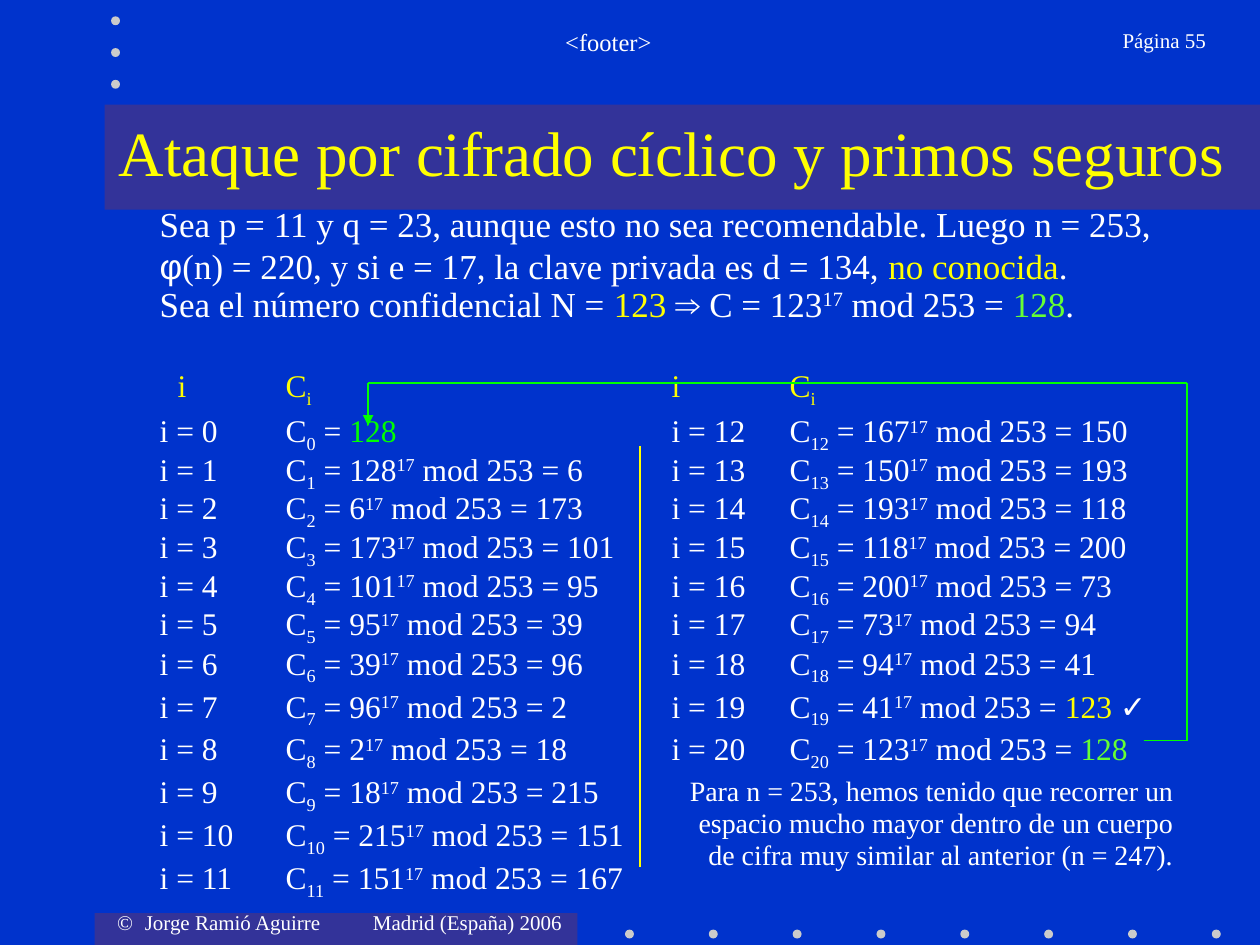
from lxml.etree import SubElement
from pptx import Presentation
from pptx.dml.color import RGBColor
from pptx.enum.shapes import MSO_CONNECTOR, MSO_SHAPE
from pptx.enum.text import MSO_ANCHOR, MSO_AUTO_SIZE, PP_ALIGN
from pptx.oxml.ns import qn
from pptx.util import Cm, Pt

THEME = {
    "font": "Times New Roman", "symbol_font": "Arial",
    "back": "0033CC", "band": "333399", "dot": "CBCBCB",
    "text": "FFFFFF", "accent": "FFFF00", "result": "66FF33", "cycle": "00FF00",
    "title": 36, "body": 20, "step": 18, "note": 16, "footer": 14, "small": 12,
}
BASELINES = {"sub": "-25000", "sup": "30000"}


def rgb(name):
    return RGBColor.from_string(THEME[name])


def write(p, runs, size, tabs=(), **formats):
    """Fill a paragraph with (text, style) runs; a style is a colour, sub, sup or symbol."""
    for name, value in formats.items():
        setattr(p, name, value)
    if tabs:
        tab_list = SubElement(p._p.get_or_add_pPr(), qn("a:tabLst"))
        for pos in tabs:
            SubElement(tab_list, qn("a:tab"), pos=str(Cm(pos)), algn="l")
    for text, style in runs:
        r = p.add_run()
        r.text = text
        color = style.split()[0] if style.split()[0] in THEME else "text"
        font = "symbol_font" if style == "symbol" else "font"
        for name, value in {"name": THEME[font], "size": Pt(THEME[size])}.items():
            setattr(r.font, name, value)
        r.font.color.rgb = rgb(color)
        mark = style.split()[-1]
        if mark in BASELINES:
            r._r.get_or_add_rPr().set("baseline", BASELINES[mark])


prs = Presentation()
prs.slide_width, prs.slide_height = Cm(25.4), Cm(19.05)
s = prs.slides.add_slide(prs.slide_layouts[5])
s.background.fill.solid()
s.background.fill.fore_color.rgb = rgb("back")

# Bands and rows of dots
DOT = 0.18
decor = [(MSO_SHAPE.RECTANGLE, "band", 1.91, 18.41, 9.73, 0.64),
         (MSO_SHAPE.RECTANGLE, "band", 2.11, 2.11, 23.29, 2.12)]
decor += [(MSO_SHAPE.OVAL, "dot", 12.6 + 1.69 * i, 18.74, DOT, DOT) for i in range(8)]
decor += [(MSO_SHAPE.OVAL, "dot", 2.24, 0.33 + 0.64 * i, DOT, DOT) for i in range(3)]
for kind, color, *box in decor:
    sp = s.shapes.add_shape(kind, *map(Cm, box))
    sp.shadow.inherit = False
    sp.fill.solid()
    sp.fill.fore_color.rgb = rgb(color)
    sp.line.fill.background()

# Title, brought in front of its band
title = s.shapes.title
s.shapes._spTree.append(title._element)
for name, value in {"left": 2.11, "top": 2.11, "width": 22.86, "height": 1.9}.items():
    setattr(title, name, Cm(value))
tf = title.text_frame
for name, value in {"word_wrap": True, "auto_size": MSO_AUTO_SIZE.NONE,
                    "vertical_anchor": MSO_ANCHOR.MIDDLE}.items():
    setattr(tf, name, value)
write(tf.paragraphs[0], [("Ataque por cifrado cíclico y primos seguros", "accent")],
      "title", alignment=PP_ALIGN.CENTER)

# Statement of the problem: runs and paragraph formats
paragraphs = [
    ([("Sea p = 11 y q = 23, aunque esto no sea recomendable. Luego n = 253, ", "text"),
      ("φ", "symbol"),
      ("(n) = 220, y si e = 17, la clave privada es d = 134, ", "text"),
      ("no conocida", "accent"), (".", "text")], "body", {}),
    ([("Sea el número confidencial N = ", "text"), ("123 ", "accent"), ("⇒", "symbol"),
      (" C = 123", "text"), ("17", "sup"), (" mod 253 = ", "text"),
      ("128", "result"), (".", "text")], "body", {"line_spacing": 0.9}),
]

# Heading of the two columns of steps
COLUMN_TABS = (2.54, 10.32, 12.7)
heading = [("\ti\tC", "accent"), ("i", "accent sub"), ("\ti\tC", "accent"), ("i", "accent sub")]
paragraphs.append((heading, "step", {"tabs": (0.36,) + COLUMN_TABS,
                                     "line_spacing": 0.7, "space_before": Pt(28)}))

# Steps of the cycle: each value is the previous one to the 17th power
values = [128, 6, 173, 101, 95, 39, 96, 2, 18, 215, 151, 167,
          150, 193, 118, 200, 73, 94, 41, 123, 128]
colors = {0: "cycle", 19: "accent", 20: "result"}
ROWS = 12
for row in range(ROWS):
    runs = []
    for i in range(row, len(values), ROWS):
        runs += [(f"{chr(9) if runs else ''}i = {i}\tC", "text"), (str(i), "sub"), (" = ", "text")]
        if i:
            runs += [(str(values[i - 1]), "text"), ("17", "sup"), (" mod 253 = ", "text")]
        runs.append((str(values[i]), colors.get(i, "text")))
        if i == 19:
            runs += [(" ", "text"), ("✓", "symbol")]
    formats = {"tabs": COLUMN_TABS}
    if row < 6:
        formats["line_spacing"] = 0.9
    if row == 0:
        formats["space_before"] = Pt(4.5)
    paragraphs.append((runs, "step", formats))

# Text boxes: position, anchor and paragraphs
note = ("Para n = 253, hemos tenido que recorrer un espacio mucho mayor dentro de un "
        "cuerpo de cifra muy similar al anterior (n = 247).")
right = {"alignment": PP_ALIGN.RIGHT}
boxes = [
    ((2.11, 18.21, 9.5, 0.86), MSO_ANCHOR.TOP,
     [([("©\tJorge Ramió Aguirre\tMadrid (España) 2006", "text")], "small",
       {"tabs": (0.56, 5.16)})]),
    ((4.01, 0.43, 16.51, 1.27), MSO_ANCHOR.TOP,
     [([("<footer>", "text")], "footer", {"alignment": PP_ALIGN.CENTER})]),
    ((21.08, 0.43, 3.48, 1.27), MSO_ANCHOR.TOP, [([("Página 55", "text")], "small", right)]),
    ((2.97, 4.78, 21.16, 12.7), MSO_ANCHOR.MIDDLE, paragraphs),
    ((13.54, 15.52, 10.36, 2.06), MSO_ANCHOR.TOP,
     [([(note, "text")], "note", {"line_spacing": 0.95, **right})]),
]
for box, anchor, content in boxes:
    tf = s.shapes.add_textbox(*map(Cm, box)).text_frame
    tf.word_wrap = True
    tf.vertical_anchor = anchor
    for n, (runs, size, formats) in enumerate(content):
        p = tf.add_paragraph() if n else tf.paragraphs[0]
        write(p, runs, size, **formats)

# Column divider and the arrow that closes the cycle
route = [(23.06, 14.93), (23.93, 14.93), (23.93, 7.72), (7.42, 7.72), (7.42, 8.58)]
lines = [("accent", (12.9, 8.99), (12.9, 17.48))]
lines += [("cycle", start, end) for start, end in zip(route, route[1:])]
for color, start, end in lines:
    line = s.shapes.add_connector(MSO_CONNECTOR.STRAIGHT, *map(Cm, start + end))
    line.line.width = Pt(1)
    line.line.color.rgb = rgb(color)
    SubElement(line._element.spPr, qn("a:effectLst"))
    if end == route[-1]:
        SubElement(line.line._get_or_add_ln(), qn("a:tailEnd"), type="triangle")

prs.save("out.pptx")
